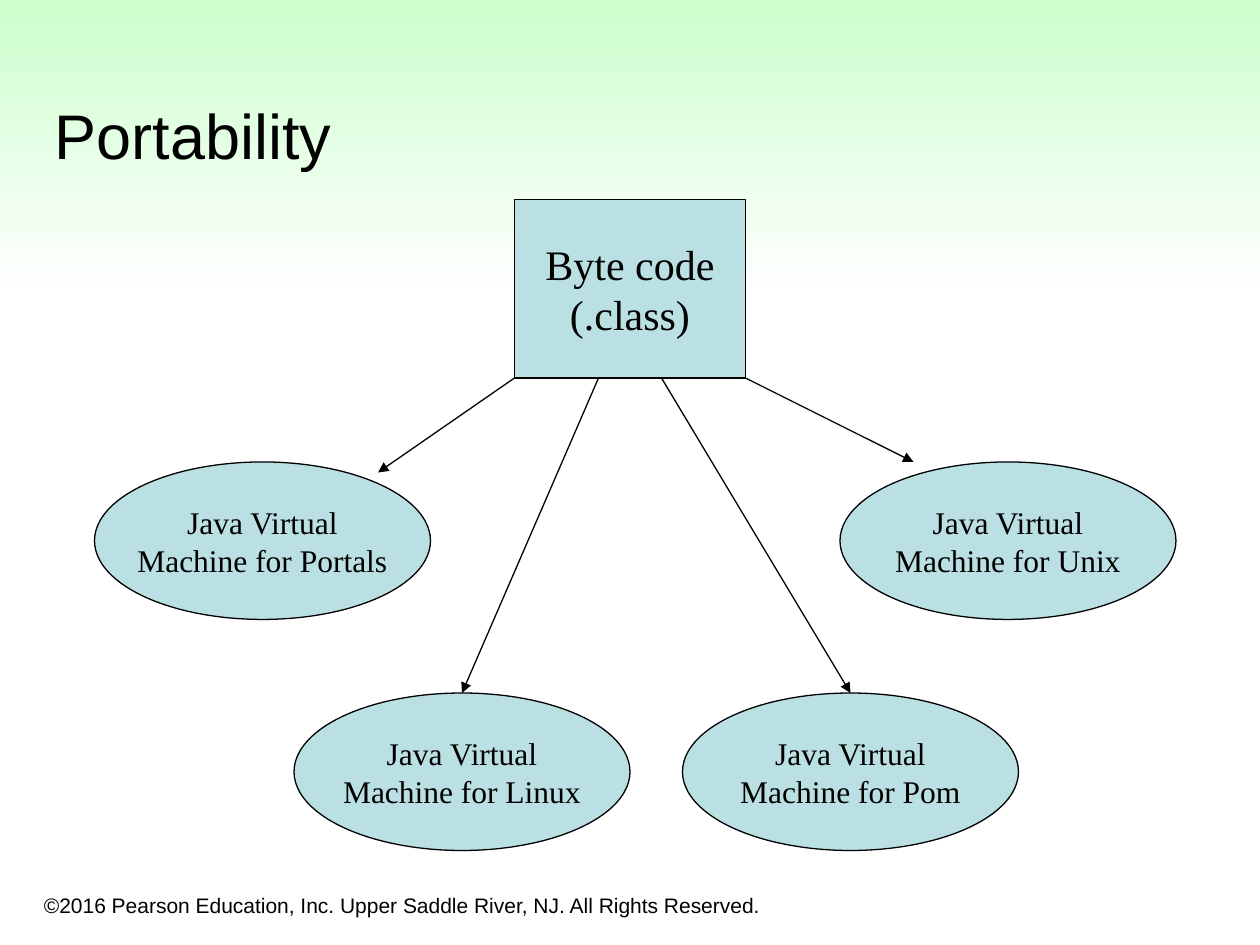
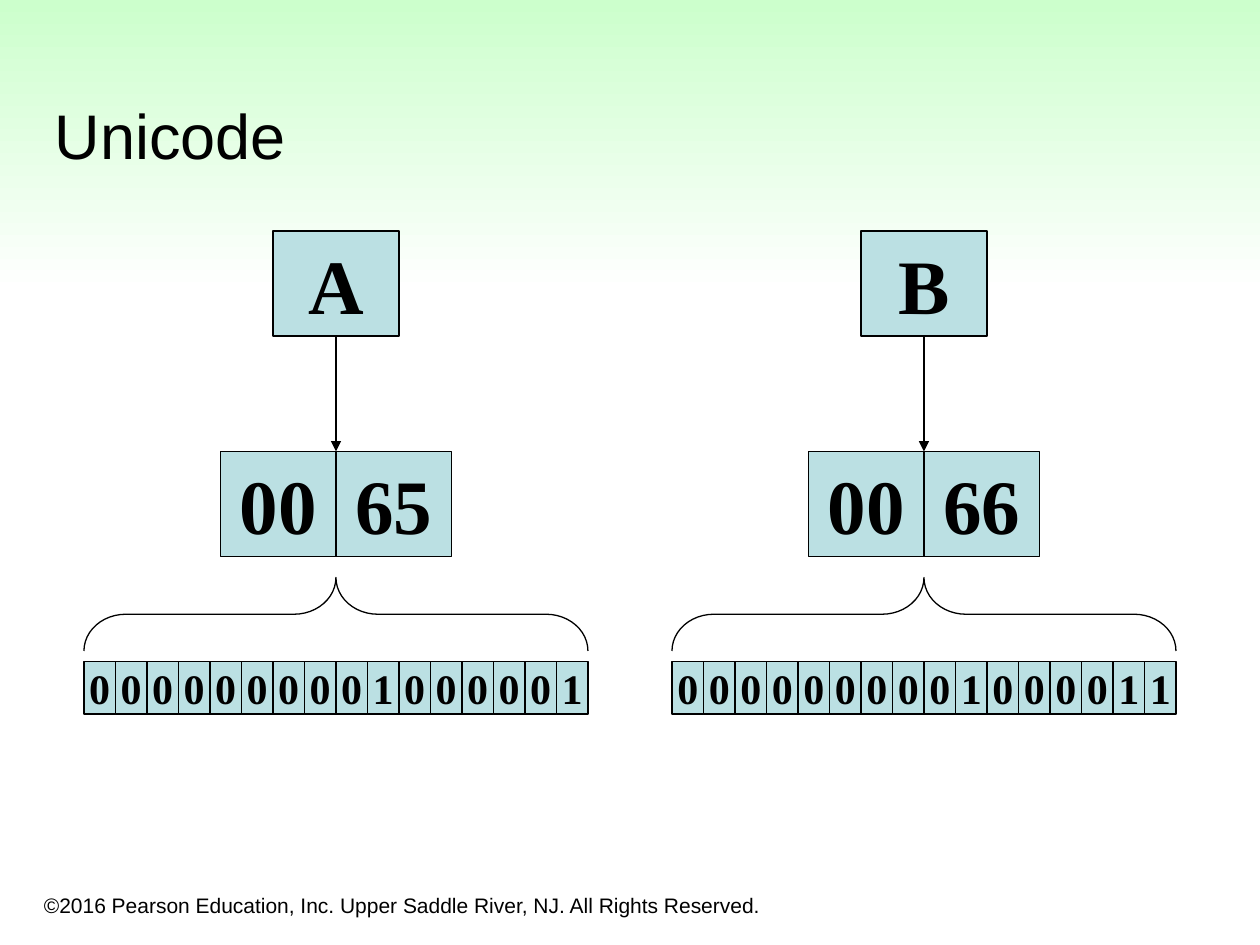
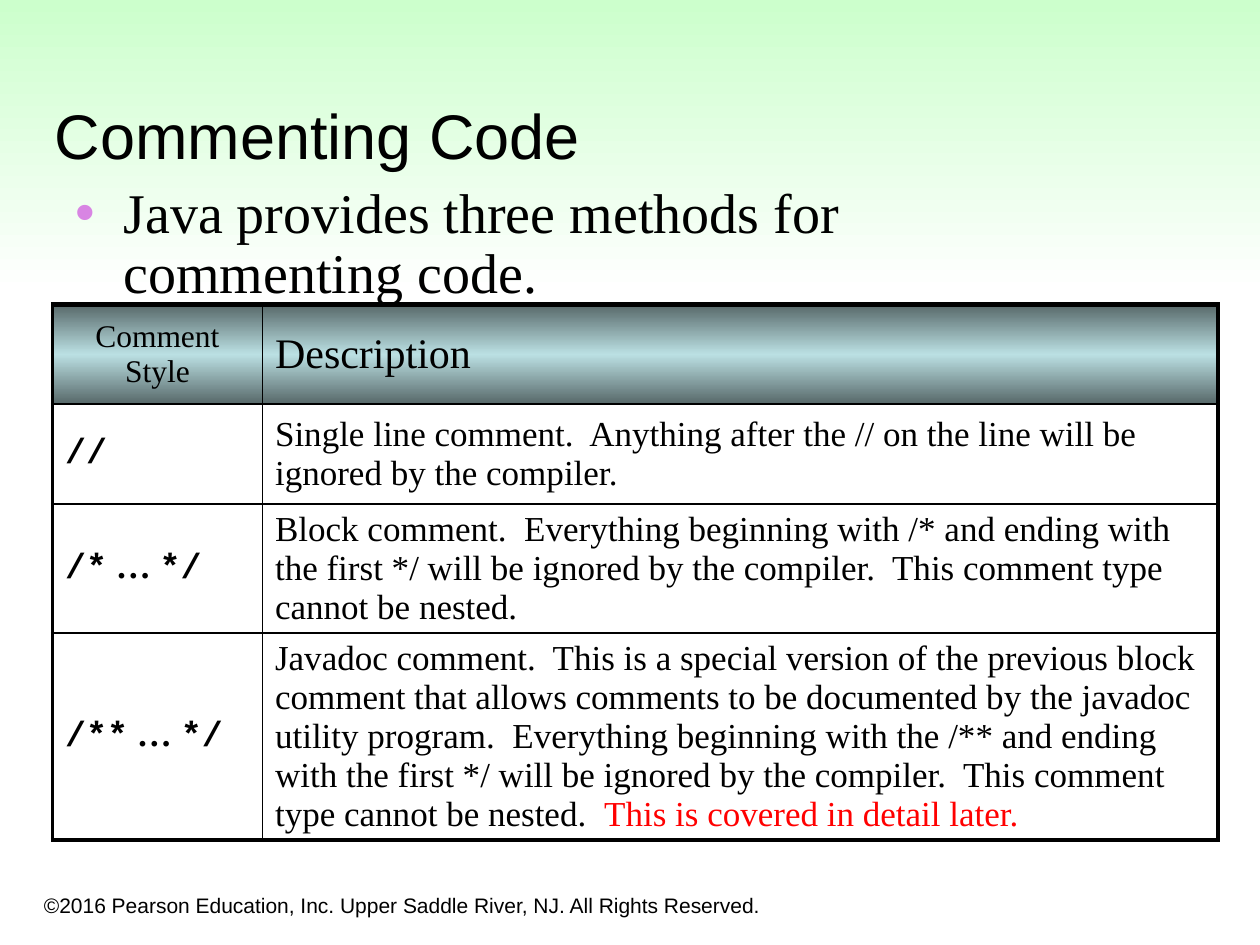
from lxml import etree
from pptx import Presentation
from pptx import util as u
from pptx.dml.color import RGBColor
from pptx.enum import shapes, text
from pptx.oxml import ns

BLACK = RGBColor(0x00, 0x00, 0x00)
WHITE = RGBColor(0xFF, 0xFF, 0xFF)
RED = RGBColor(0xFF, 0x00, 0x00)
MINT = RGBColor(0xCC, 0xFF, 0xCC)
AQUA = RGBColor(0xBB, 0xE0, 0xE3)
SLATE = RGBColor(0x57, 0x68, 0x69)
ORCHID = RGBColor(0xD8, 0x85, 0xE3)
SANS, SERIF, MONO = "Arial", "Times New Roman", "Courier New"

COLUMNS, ROWS = 120, 90
TITLE_ONLY, TITLE_AND_BODY = 5, 1
COPYRIGHT = "©2016 Pearson Education, Inc. Upper Saddle River, NJ. All Rights Reserved."


def add_xml(parent, tag, **attributes):
    return etree.SubElement(parent, ns.qn(tag), attributes)


def add_colour(parent, colour):
    add_xml(parent, "a:srgbClr", val=str(colour))


class Deck:
    """Shared style plus the slide being filled; lengths are grid columns and rows."""

    def __init__(self):
        self.prs = Presentation()
        self.prs.slide_width, self.prs.slide_height = u.Inches(10), u.Inches(7.5)
        self.column = self.prs.slide_width / COLUMNS
        self.row = self.prs.slide_height / ROWS
        self.slide = None

    def box(self, left, top, width, height):
        return (round(left * self.column), round(top * self.row),
                round(width * self.column), round(height * self.row))

    def start(self, heading, layout=TITLE_ONLY):
        first = self.slide is None
        self.slide = self.prs.slides.add_slide(self.prs.slide_layouts[layout])
        if first:
            self.share_on_master(self.band(), self.footer())
        title = self.slide.shapes.title
        self.place(title, 4, 4, 113, 13)
        title.text_frame.vertical_anchor = text.MSO_ANCHOR.BOTTOM
        self.add_words(title.text_frame.paragraphs[0], heading, 36, SANS)

    def place(self, shape, *box):
        shape.left, shape.top, shape.width, shape.height = self.box(*box)
        shape.text_frame.auto_size = text.MSO_AUTO_SIZE.NONE

    def add_words(self, paragraph, words, size, font=SERIF, bold=False, colour=BLACK,
                  align=text.PP_ALIGN.LEFT):
        paragraph.alignment = align
        for number, line in enumerate(words.split("\n")):
            if number:
                paragraph.add_line_break()
            run = paragraph.add_run()
            run.text = line
            run.font.size, run.font.name, run.font.bold = u.Pt(size), font, bold
            run.font.color.rgb = colour

    def gradient(self, fill, owner, *colours):
        fill.gradient()
        fill.gradient_angle = 270
        stops = next(owner.iter(ns.qn("a:gsLst")))
        stops.clear()
        for number, colour in enumerate(colours):
            position = round(100000 * number / (len(colours) - 1))
            add_colour(add_xml(stops, "a:gs", pos=str(position)), colour)

    # Parts shared by every slide
    def band(self):
        band = self.slide.shapes.add_shape(shapes.MSO_SHAPE.RECTANGLE, *self.box(0, 0, COLUMNS, 28))
        band.shadow.inherit = False
        band.line.fill.background()
        self.gradient(band.fill, band.element, MINT, WHITE)
        return band

    def footer(self):
        footer = self.slide.shapes.add_textbox(*self.box(3, 83, 73, 5))
        footer.text_frame.word_wrap = True
        footer.text_frame.vertical_anchor = text.MSO_ANCHOR.BOTTOM
        self.add_words(footer.text_frame.paragraphs[0], COPYRIGHT, 12, SANS)
        return footer

    def share_on_master(self, *parts):
        tree = self.prs.slide_master.shapes.element
        for position, part in enumerate(parts, start=2):
            tree.insert(position, part.element)

    # Elements of single slides
    def outline(self, kind, *box):
        shape = self.slide.shapes.add_shape(kind, *self.box(*box))
        shape.shadow.inherit = False
        shape.fill.background()
        shape.line.color.rgb, shape.line.width = BLACK, u.Pt(0.75)
        return shape

    def node(self, paragraphs, size, *box, kind=shapes.MSO_SHAPE.RECTANGLE, bold=False):
        node = self.outline(kind, *box)
        node.fill.solid()
        node.fill.fore_color.rgb = AQUA
        frame = node.text_frame
        frame.word_wrap = False
        frame.vertical_anchor = text.MSO_ANCHOR.MIDDLE
        for number, words in enumerate(paragraphs):
            paragraph = frame.add_paragraph() if number else frame.paragraphs[0]
            self.add_words(paragraph, words, size, bold=bold, align=text.PP_ALIGN.CENTER)

    def arrow(self, start, end, width=0.75):
        arrow = self.slide.shapes.add_connector(
            shapes.MSO_CONNECTOR.STRAIGHT, *self.box(*start, *end))
        arrow.line.color.rgb, arrow.line.width = BLACK, u.Pt(width)
        properties = arrow.element.spPr
        add_xml(properties.find(ns.qn("a:ln")), "a:tailEnd", type="triangle")
        add_xml(properties, "a:effectLst")

    def brace(self, centre, middle, span, depth):
        brace = self.outline(shapes.MSO_SHAPE.RIGHT_BRACE, centre - depth / 2,
                             middle - span / 2, depth, span)
        brace.rotation = 270
        brace.adjustments[0], brace.adjustments[1] = 0.57, 0.5

    def bullet(self, words, *box):
        body = self.slide.placeholders[1]
        self.place(body, *box)
        body.text_frame.margin_right = 0
        paragraph = body.text_frame.paragraphs[0]
        properties = paragraph._p.get_or_add_pPr()
        indent = u.Inches(0.38)
        properties.set("marL", str(indent))
        properties.set("indent", str(-indent))
        add_colour(add_xml(properties, "a:buClr"), ORCHID)
        add_xml(properties, "a:buChar", char="•")
        paragraph.line_spacing, paragraph.space_before = 0.9, u.Pt(0)
        self.add_words(paragraph, words, 32)

    def borders(self, cell, **widths):
        properties = cell._tc.get_or_add_tcPr()
        for position, side in enumerate("LRTB"):
            line = add_xml(properties, "a:ln" + side, w=str(u.Pt(widths[side])))
            add_colour(add_xml(line, "a:solidFill"), BLACK)
            properties.insert(position, line)

    def table(self, rows, left, top, widths, row_height):
        frame = self.slide.shapes.add_table(
            len(rows), len(widths), *self.box(left, top, sum(widths), row_height * len(rows)))
        table = frame.table
        table.first_row = table.horz_banding = False
        for column, width in zip(table.columns, widths):
            column.width = round(width * self.column)
        last_row, last_column = len(rows) - 1, len(widths) - 1
        for y, row in enumerate(rows):
            for x, runs in enumerate(row):
                cell = table.cell(y, x)
                cell.vertical_anchor = text.MSO_ANCHOR.MIDDLE
                if y == 0:
                    self.gradient(cell.fill, cell._tc, SLATE, AQUA, SLATE)
                else:
                    cell.fill.background()
                self.borders(cell, L=1 if x else 2.25, R=2.25 if x == last_column else 1,
                             T=1 if y else 3, B=2.25 if y == last_row else 1)
                for words, style in runs:
                    self.add_words(cell.text_frame.paragraphs[0], words, **style)


def portability(deck):
    deck.start("Portability")
    machines = [("Portals", 9, 44), ("Linux", 28, 66), ("Pom", 65, 66), ("Unix", 80, 44)]
    for system, left, top in machines:
        deck.node(["Java Virtual", f"Machine for {system}"], 18, left, top, 32, 15,
                  kind=shapes.MSO_SHAPE.OVAL)
    deck.node(["Byte code\n(.class)"], 24, 49, 19, 22, 17)
    for start, end in [(49, (36, 45)), (57, (44, 66)), (63, (81, 66)), (71, (87, 44))]:
        deck.arrow((start, 36), end)


def unicode_bits(deck):
    deck.start("Unicode")
    letters = [("A", "65", "0000000001000001", 32), ("B", "66", "0000000001000011", 88)]
    for letter, code, bits, centre in letters:
        deck.node([letter], 44, centre - 6, 22, 12, 10, bold=True)
        for number, byte in enumerate(["00", code]):
            deck.node([byte], 44, centre + 11 * (number - 1), 43, 11, 10, bold=True)
        deck.arrow((centre, 32), (centre, 43), width=1.5)
        deck.brace(centre, 58.5, span=48, depth=7)
        for number, bit in enumerate(bits):
            deck.node([bit], 24, centre + 3 * (number - 8), 63, 3, 5, bold=True)


def commenting(deck):
    deck.start("Commenting Code", TITLE_AND_BODY)
    deck.bullet("Java provides three methods for commenting code.", 6, 17, 102, 13)
    code = dict(size=20, font=MONO, bold=True)
    dots = (" … ", dict(size=20, bold=True))
    prose = dict(size=20)
    deck.table([
        [[("Comment\nStyle", dict(size=18, align=text.PP_ALIGN.CENTER))],
         [("Description", dict(size=24))]],
        [[("//", code)],
         [("Single line comment.  Anything after the // on the line will be ignored "
           "by the compiler.", prose)]],
        [[("/*", code), dots, ("*/", code)],
         [("Block comment.  Everything beginning with /* and ending with the first */ "
           "will be ignored by the compiler.  This comment type cannot be nested.", prose)]],
        [[("/**", code), dots, ("*/", code)],
         [("Javadoc comment.  This is a special version of the previous block comment "
           "that allows comments to be documented by the javadoc utility program.  "
           "Everything beginning with the /** and ending with the first */ will be ignored "
           "by the compiler.  This comment type cannot be nested.  ", prose),
          ("This is covered in detail later.", dict(size=20, colour=RED))]],
    ], 5, 29, [20, 91], 9.5)


def main():
    deck = Deck()
    for build in (portability, unicode_bits, commenting):
        build(deck)
    deck.prs.save("out.pptx")


if __name__ == "__main__":
    main()
